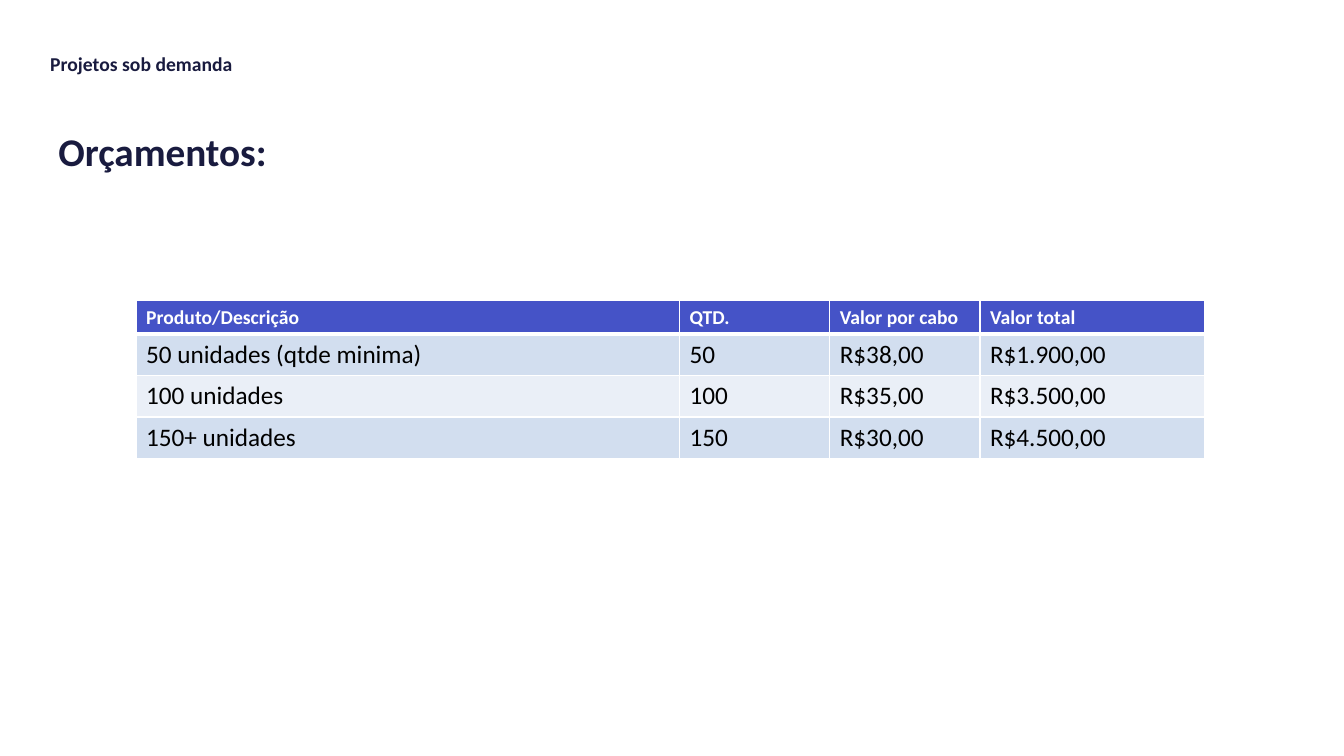
from lxml.etree import SubElement
from pptx import Presentation
from pptx.dml.color import RGBColor
from pptx.enum.text import MSO_ANCHOR, MSO_AUTO_SIZE, PP_ALIGN
from pptx.oxml.ns import qn
from pptx.util import Inches, Pt

NAVY, BLUE, WHITE, BLACK = "191B3F", "4553C7", "FFFFFF", "000000"
BANDS = ["D2DEEF", "EAEFF7"]

ROWS = [
    ["Produto/Descrição", "QTD.", "Valor por cabo", "Valor total"],
    ["50 unidades (qtde minima)", "50", "R$38,00", "R$1.900,00"],
    ["100 unidades", "100", "R$35,00", "R$3.500,00"],
    ["150+ unidades", "150", "R$30,00", "R$4.500,00"],
]
WIDTHS = [5.39, 1.49, 1.49, 2.23]
HEIGHTS = [0.33, 0.41, 0.41, 0.41]


def color(code):
    return RGBColor.from_string(code)


class Page:
    """Holds the text style and the current slide."""

    font = "Calibri"

    def __init__(self, deck):
        self.slide = deck.slides.add_slide(deck.slide_layouts[5])

    def line(self, frame, text, size, ink, bold):
        par = frame.paragraphs[0]
        par.alignment = PP_ALIGN.LEFT
        run = par.add_run()
        run.text = text
        style = {"name": self.font, "size": Pt(size), "bold": bold}
        for key, value in style.items():
            setattr(run.font, key, value)
        run.font.color.rgb = color(ink)
        return par

    def label(self, shape, text, size):
        frame = shape.text_frame
        form = {
            "word_wrap": True,
            "auto_size": MSO_AUTO_SIZE.NONE,
            "vertical_anchor": MSO_ANCHOR.TOP,
        }
        for key, value in form.items():
            setattr(frame, key, value)
        self.line(frame, text, size, NAVY, True).line_spacing = 0.9

    def text(self, left, top, width, height, text, size):
        area = map(Inches, (left, top, width, height))
        self.label(self.slide.shapes.add_textbox(*area), text, size)

    def title(self, left, top, width, height, text, size):
        shape = self.slide.shapes.title
        area = {"left": left, "top": top, "width": width, "height": height}
        for key, value in area.items():
            setattr(shape, key, Inches(value))
        self.label(shape, text, size)

    def border(self, cell, sides):
        props = cell._tc.get_or_add_tcPr()
        for spot, (side, width) in enumerate(sides.items()):
            edge = SubElement(props, qn("a:ln" + side), w=str(Pt(width)))
            fill = SubElement(edge, qn("a:solidFill"))
            SubElement(fill, qn("a:srgbClr"), val=WHITE)
            props.insert(spot, edge)

    def table(self, left, top, rows, widths, heights):
        area = map(Inches, (left, top, sum(widths), sum(heights)))
        grid = self.slide.shapes.add_table(len(rows), len(widths), *area).table
        for col, width in zip(grid.columns, widths):
            col.width = Inches(width)
        for row, height in zip(grid.rows, heights):
            row.height = Inches(height)
        for i, row in enumerate(rows):
            head = i == 0
            back = BLUE if head else BANDS[(i - 1) % 2]
            size, ink = (14, WHITE) if head else (18, BLACK)
            sides = {"L": 1, "R": 1, "T": 3 if i == 1 else 1, "B": 3 if head else 1}
            for j, text in enumerate(row):
                cell = grid.cell(i, j)
                cell.fill.solid()
                cell.fill.fore_color.rgb = color(back)
                self.border(cell, sides)
                self.line(cell.text_frame, text, size, ink, head)


def main():
    deck = Presentation()
    deck.slide_width, deck.slide_height = Inches(13.33), Inches(7.5)
    page = Page(deck)

    # Headings
    page.text(0.4, 0.49, 4.74, 0.29, "Projetos sob demanda", 14)
    page.title(0.48, 1.27, 12.34, 0.44, "Orçamentos:", 28)

    # Price table
    page.table(1.35, 2.98, ROWS, WIDTHS, HEIGHTS)

    deck.save("out.pptx")


if __name__ == "__main__":
    main()
